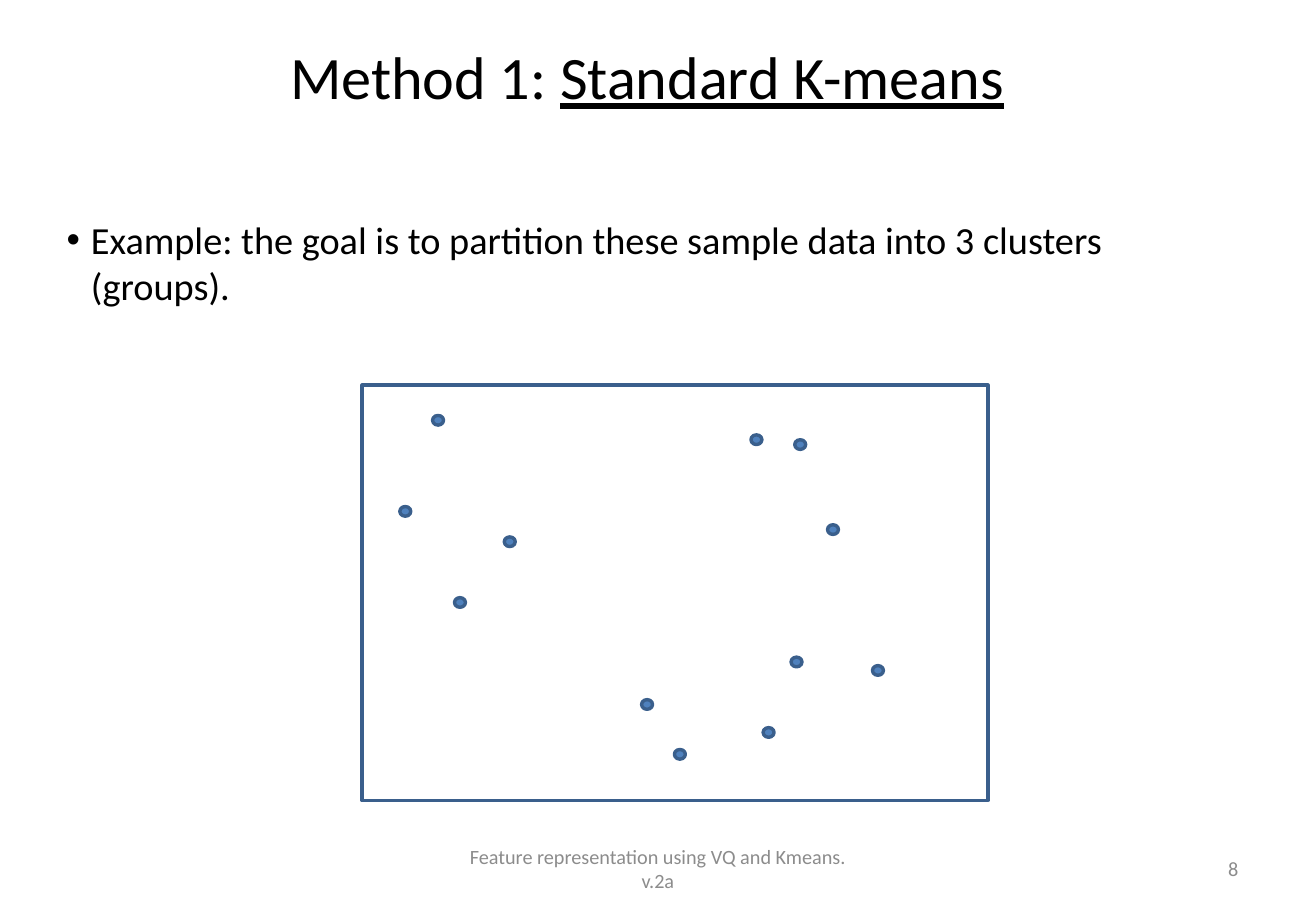
from dataclasses import dataclass

from lxml import etree
from pptx import Presentation
from pptx.dml.color import RGBColor
from pptx.enum import shapes, text
from pptx.oxml.ns import qn
from pptx.util import Inches, Pt

TITLE = ["Method 1: ", "Standard K-means"]
GOAL = "Example: the goal is to partition these sample data into 3 clusters (groups)."
FOOTER = "Feature representation using VQ and Kmeans. v.2a"
PAGE_NUMBER = "8"

SAMPLES = [
    (3.56, 3.42), (3.29, 4.17), (3.74, 4.92), (4.15, 4.42),
    (5.55, 6.17), (6.54, 3.62), (6.51, 5.41), (7.18, 5.48),
    (6.81, 4.32), (6.18, 3.58), (6.28, 5.99), (5.28, 5.76),
]
DOT_SIZE = (0.09, 0.08)
PLOT_FRAME = (2.98, 3.17, 5.15, 3.42)
MARGIN, CONTENT_WIDTH = 0.45, 9.75
FOOTER_TOP, FOOTER_HEIGHT = 6.95, 0.4


@dataclass(frozen=True)
class Theme:
    font: str = "Calibri"
    ink: str = "000000"
    muted: str = "8C8C8C"
    dot: str = "4F81BD"
    outline: str = "3A5F8C"
    title_size: float = 35.7
    body_size: float = 22.7
    footer_size: float = 12
    line_width: float = 2


THEME = Theme()


def add_text(page, place, spans, size, color, align, anchor):
    box = page.shapes.add_textbox(*map(Inches, place))
    frame = box.text_frame
    frame.word_wrap = True
    frame.vertical_anchor = anchor
    para = frame.paragraphs[0]
    para.alignment = align
    for words in spans:
        span = para.add_run()
        span.text = words
        span.font.name = THEME.font
        span.font.size = Pt(size)
        span.font.color.rgb = RGBColor.from_string(color)
    return para


def add_bullet(para, indent):
    props = para._p.get_or_add_pPr()
    props.set("marL", str(Inches(indent)))
    props.set("indent", str(-Inches(indent)))
    etree.SubElement(props, qn("a:buFont"), typeface="Arial")
    etree.SubElement(props, qn("a:buChar"), char="•")


def add_outlined(parent, kind, place, fill=None):
    shape = parent.shapes.add_shape(kind, *map(Inches, place))
    shape.shadow.inherit = False
    if fill:
        shape.fill.solid()
        shape.fill.fore_color.rgb = RGBColor.from_string(fill)
    else:
        shape.fill.background()
    shape.line.color.rgb = RGBColor.from_string(THEME.outline)
    shape.line.width = Pt(THEME.line_width)


def main():
    deck = Presentation()
    deck.slide_width, deck.slide_height = Inches(10.83), Inches(7.5)
    page = deck.slides.add_slide(deck.slide_layouts[6])
    align, anchor = text.PP_ALIGN, text.MSO_ANCHOR

    title = add_text(page, (MARGIN, 0, CONTENT_WIDTH, 1.25), TITLE,
                     THEME.title_size, THEME.ink, align.CENTER, anchor.MIDDLE)
    title.runs[1].font.underline = True

    goal = add_text(page, (MARGIN, 1.73, CONTENT_WIDTH, 4.95), [GOAL],
                    THEME.body_size, THEME.ink, align.LEFT, anchor.TOP)
    goal.space_before = Pt(8.1)
    add_bullet(goal, 0.2)

    dots = page.shapes.add_group_shape()
    for sample in SAMPLES:
        add_outlined(dots, shapes.MSO_SHAPE.OVAL, sample + DOT_SIZE, THEME.dot)
    add_outlined(page, shapes.MSO_SHAPE.RECTANGLE, PLOT_FRAME)

    for words, left, width, side in [
        (FOOTER, 3.7, 3.43, align.CENTER),
        (PAGE_NUMBER, 7.76, 2.53, align.RIGHT),
    ]:
        add_text(page, (left, FOOTER_TOP, width, FOOTER_HEIGHT), [words],
                 THEME.footer_size, THEME.muted, side, anchor.MIDDLE)

    deck.save("out.pptx")


if __name__ == "__main__":
    main()
